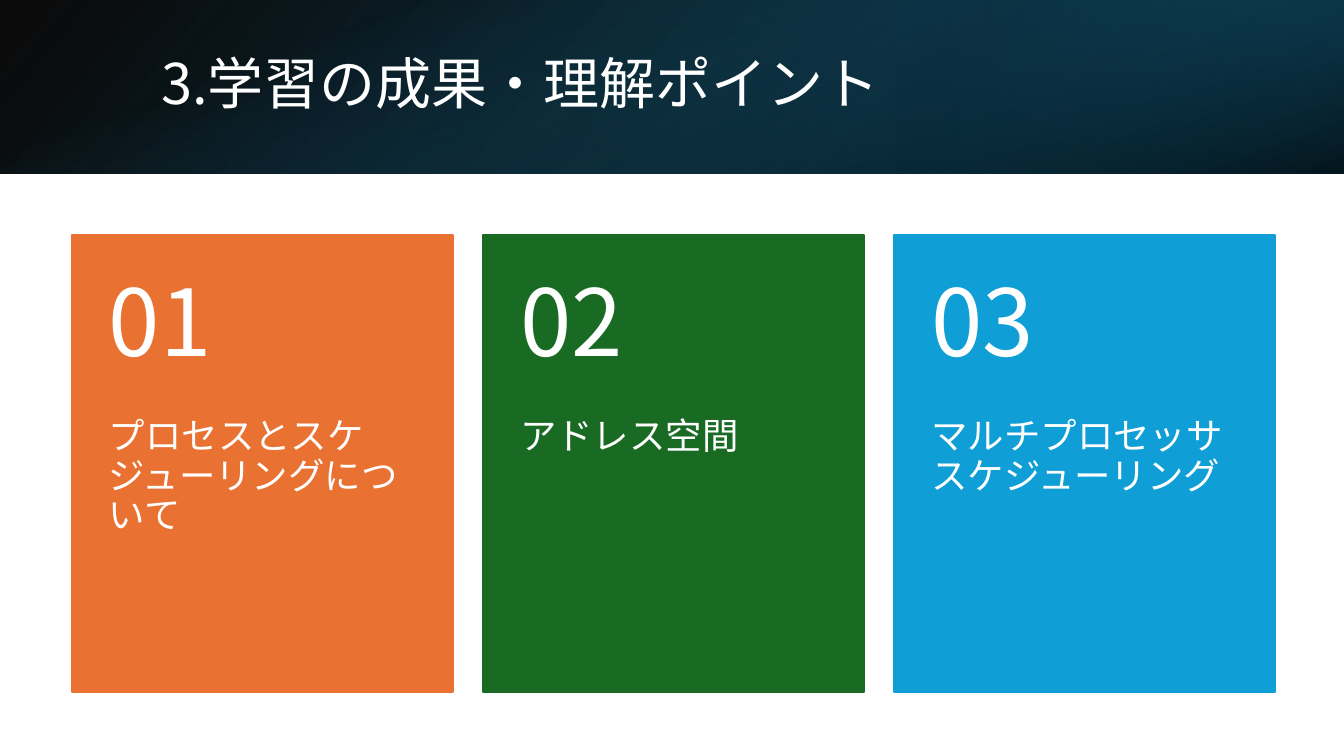
from lxml import etree
from pptx import Presentation
from pptx import util as u
from pptx.dml.color import RGBColor
from pptx.enum import shapes, text
from pptx.oxml import parse_xml
from pptx.oxml.ns import nsdecls, qn

COLORS = {
    "white": "FFFFFF",
    "black": "000000",
    "navy": "104862",
    "deep": "0B3041",
    "teal": "156082",
    "orange": "E97132",
    "green": "196B24",
    "blue": "0F9ED5",
}
FONT = "Noto Sans CJK JP"

WIDTH, HEIGHT, BAND = 960, 540, 123.84
CARD_LEFT, CARD_TOP, CARD_STEP = 51.12, 167.76, 293.76
CARD_WIDTH, CARD_HEIGHT, NUMBER_HEIGHT = 272.16, 326.88, 131.04
INSET = 26.64

BANDS = [
    ((0, 0, WIDTH, BAND), 0, True, 140,
     [(0, "black", 96), (100, "navy", 100)]),
    ((WIDTH * 2 / 3, 0, WIDTH / 3, BAND), 180, True, 320,
     [(19, "deep", 68), (100, "teal", 79)]),
    (((WIDTH - BAND) / 2, (BAND - WIDTH) / 2, BAND, WIDTH), 90, False, 340,
     [(23, "teal", 0), (99, "black", 74)]),
]
CARDS = [
    ("orange", "プロセスとスケジューリングについて"),
    ("green", "アドレス空間"),
    ("blue", "マルチプロセッサスケジューリング"),
]


def rgb(name):
    return RGBColor.from_string(COLORS[name])


class Deck:
    def __init__(self):
        self.prs = Presentation()
        self.prs.slide_width, self.prs.slide_height = u.Pt(WIDTH), u.Pt(HEIGHT)
        self.s = self.prs.slides.add_slide(self.prs.slide_layouts[5])

    def rect(self, box):
        sp = self.s.shapes.add_shape(shapes.MSO_SHAPE.RECTANGLE, *map(u.Pt, box))
        sp.shadow.inherit = False
        return sp

    def band(self, box, rotation, flip, angle, stops):
        sp = self.rect(box)
        sp.rotation = rotation
        sp.line.fill.background()
        spPr = sp.element.spPr
        if flip:
            spPr.xfrm.set("flipH", "1")
        gs = "".join(
            f'<a:gs pos="{pos * 1000}"><a:srgbClr val="{COLORS[color]}">'
            f'<a:alpha val="{alpha * 1000}"/></a:srgbClr></a:gs>'
            for pos, color, alpha in stops
        )
        spPr.find(qn("a:prstGeom")).addnext(parse_xml(
            f'<a:gradFill {nsdecls("a")} rotWithShape="1"><a:gsLst>{gs}</a:gsLst>'
            f'<a:lin ang="{angle * 60000}" scaled="0"/></a:gradFill>'
        ))

    def panel(self, box, color):
        sp = self.rect(box)
        sp.fill.solid()
        sp.fill.fore_color.rgb = rgb(color)
        sp.line.color.rgb = rgb(color)
        sp.line.width = u.Pt(1.5)

    def set_text(self, sp, words, size, anchor, insets):
        tf = sp.text_frame
        left, top, right, bottom = map(u.Pt, insets)
        frame = {
            "word_wrap": True,
            "auto_size": text.MSO_AUTO_SIZE.NONE,
            "vertical_anchor": anchor,
            "margin_left": left,
            "margin_top": top,
            "margin_right": right,
            "margin_bottom": bottom,
        }
        p = tf.paragraphs[0]
        r = p.add_run()
        r.text = words
        formats = [
            (tf, frame),
            (p, {"alignment": text.PP_ALIGN.LEFT, "line_spacing": 0.9}),
            (r.font, {"size": u.Pt(size), "name": FONT}),
        ]
        for target, values in formats:
            for key, value in values.items():
                setattr(target, key, value)
        r.font.color.rgb = rgb("white")
        for rPr in sp.element.iter(qn("a:rPr")):
            etree.SubElement(rPr, qn("a:ea")).set("typeface", FONT)

    def title(self, box, words):
        sp = self.s.shapes.title
        sp.left, sp.top, sp.width, sp.height = map(u.Pt, box)
        self.s.shapes.element.append(sp.element)
        self.set_text(sp, words, 40, text.MSO_ANCHOR.MIDDLE, (7.2, 3.6, 7.2, 3.6))

    def label(self, box, words, size, anchor, insets):
        sp = self.s.shapes.add_textbox(*map(u.Pt, box))
        self.set_text(sp, words, size, anchor, insets)

    def card(self, index, color, topic):
        left = CARD_LEFT + index * CARD_STEP
        self.panel((left, CARD_TOP, CARD_WIDTH, CARD_HEIGHT), color)
        self.label(
            (left, CARD_TOP + NUMBER_HEIGHT, CARD_WIDTH, CARD_HEIGHT - NUMBER_HEIGHT),
            topic, 26, text.MSO_ANCHOR.TOP, (INSET, 0, INSET, 25.92),
        )
        self.label(
            (left, CARD_TOP, CARD_WIDTH, NUMBER_HEIGHT),
            f"{index + 1:02}", 66, text.MSO_ANCHOR.MIDDLE, (INSET, 12.96, INSET, 12.96),
        )


def main():
    deck = Deck()
    for band in BANDS:
        deck.band(*band)
    deck.title((108, 27.36, 790.56, 69.12), "3.学習の成果・理解ポイント")
    for index, (color, topic) in enumerate(CARDS):
        deck.card(index, color, topic)
    deck.prs.save("out.pptx")


if __name__ == "__main__":
    main()
